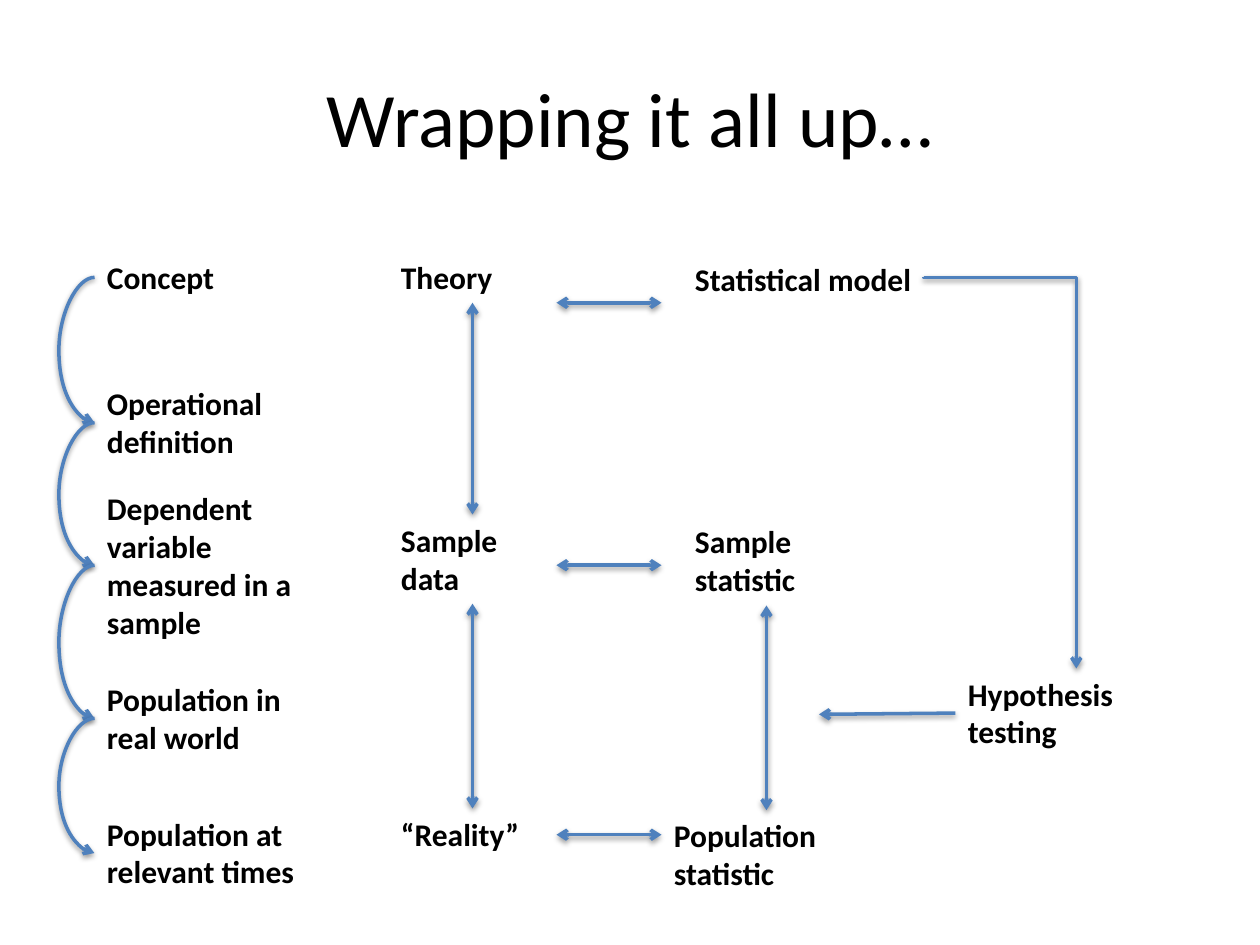
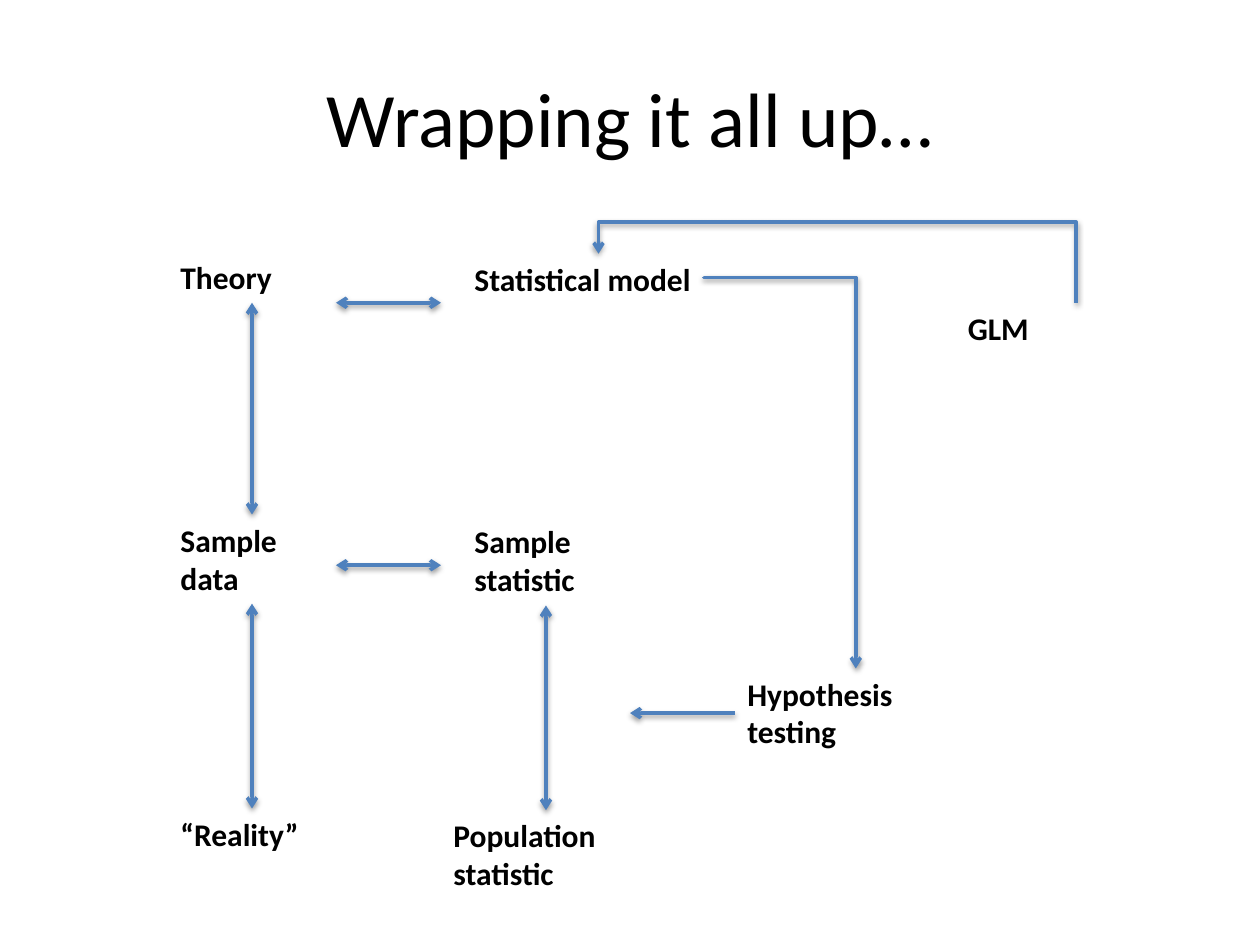
from dataclasses import dataclass
from itertools import pairwise

from lxml import etree
from pptx import Presentation
from pptx.dml.color import RGBColor
from pptx.enum import shapes, text
from pptx.oxml import ns
from pptx.util import Pt


@dataclass(frozen=True)
class Theme:
    font: str = "Calibri"
    ink: str = "000000"
    accent: str = "4F81BD"
    paper: str = "FFFFFF"
    title_size: float = 44
    label_size: float = 18
    stroke: float = 2
    shadow_alpha: int = 38
    shadow_blur: float = 3.1
    shadow_distance: float = 1.6


THEME = Theme()
ONE_LINE, TWO_LINES, FOUR_LINES = 29, 51, 94
STRAIGHT = shapes.MSO_CONNECTOR.STRAIGHT
CURVE = shapes.MSO_CONNECTOR.CURVE
ELBOW = shapes.MSO_CONNECTOR.ELBOW


def write(slide, words, box, size=THEME.label_size, bold=True,
          align=text.PP_ALIGN.LEFT, anchor=text.MSO_ANCHOR.TOP,
          fit=text.MSO_AUTO_SIZE.SHAPE_TO_FIT_TEXT):
    label = slide.shapes.add_textbox(*map(Pt, box))
    frame = label.text_frame
    frame.word_wrap = True
    frame.auto_size = fit
    frame.vertical_anchor = anchor
    frame.text = words
    for paragraph in frame.paragraphs:
        paragraph.alignment = align
        font = paragraph.runs[0].font
        font.name = THEME.font
        font.size = Pt(size)
        font.bold = bold
        font.color.rgb = RGBColor.from_string(THEME.ink)


def add_child(parent, tag, **attributes):
    child = etree.SubElement(parent, ns.qn(tag))
    for key, value in attributes.items():
        child.set(key, str(value))
    return child


def arrow(slide, start, end, kind=STRAIGHT, both=False, bend=None):
    link = slide.shapes.add_connector(kind, *map(Pt, (*start, *end)))
    link.line.color.rgb = RGBColor.from_string(THEME.accent)
    link.line.width = Pt(THEME.stroke)
    properties = link._element.spPr
    outline = properties.find(ns.qn("a:ln"))
    for tag in ("a:headEnd", "a:tailEnd") if both else ("a:tailEnd",):
        add_child(outline, tag, type="arrow")
    effects = add_child(properties, "a:effectLst")
    shadow = add_child(effects, "a:outerShdw",
                       blurRad=Pt(THEME.shadow_blur),
                       dist=Pt(THEME.shadow_distance),
                       dir=90 * 60000, rotWithShape=0)
    tint = add_child(shadow, "a:srgbClr", val=THEME.ink)
    add_child(tint, "a:alpha", val=THEME.shadow_alpha * 1000)
    if bend is not None:
        guides = properties.find(ns.qn("a:prstGeom")).find(ns.qn("a:avLst"))
        add_child(guides, "a:gd", name="adj1", fmla=f"val {round(bend * 100000)}")
    return link


def rail_arrow(slide, start, end, rail):
    (x1, y1), (x2, y2) = start, end
    middle_x, middle_y = (x1 + x2) / 2, (y1 + y2) / 2
    half_x, half_y = (x2 - x1) / 2, (y2 - y1) / 2
    link = arrow(slide,
                 (middle_x + half_y, middle_y - half_x),
                 (middle_x - half_y, middle_y + half_x),
                 kind=ELBOW, bend=(rail - y1) / (y2 - y1))
    link._element.spPr.find(ns.qn("a:xfrm")).set("rot", str(270 * 60000))


def title(slide, box):
    write(slide, "Wrapping it all up…", box, size=THEME.title_size, bold=False,
          align=text.PP_ALIGN.CENTER, anchor=text.MSO_ANCHOR.MIDDLE,
          fit=text.MSO_AUTO_SIZE.NONE)


def concept_chain(slide, left, top):
    steps = (
        ("Concept", 0, 96, ONE_LINE),
        ("Operational definition", 72, 120, TWO_LINES),
        ("Dependent variable measured in a sample", 132, 144, FOUR_LINES),
        ("Population in real world", 241, 144, TWO_LINES),
        ("Population at relevant times", 318, 162, TWO_LINES),
    )
    for words, drop, width, height in steps:
        write(slide, words, (left, top + drop, width, height))
    middles = [top + drop + height / 2 for _, drop, _, height in steps]
    bulge, sliver = 18, 0.1
    for upper, lower in pairwise(middles):
        arrow(slide, (left + sliver, upper), (left, lower),
              kind=CURVE, bend=bulge / sliver)


def research_model(slide, left, top, level_links, test_tip):
    def at(x, y):
        return left + x, top + y

    labels = (
        ("Theory", 0, 0, 96, ONE_LINE),
        ("Sample\ndata", 0, 150, 96, TWO_LINES),
        ("“Reality”", 0, 318, 96, ONE_LINE),
        ("Statistical model", 168, 1, 156, TWO_LINES),
        ("Sample\nstatistic", 168, 151, 96, TWO_LINES),
        ("Population statistic", 156, 319, 120, TWO_LINES),
        ("Hypothesis testing", 324, 238, 138, TWO_LINES),
    )
    for words, x, y, width, height in labels:
        write(slide, words, (*at(x, y), width, height))
    for x, upper, lower in ((48, 29, 150), (48, 201, 318), (216, 202, 319)):
        arrow(slide, at(x, upper), at(x, lower), both=True)
    for y in level_links:
        arrow(slide, at(96, y), at(156, y), both=True)
    rail_arrow(slide, at(306, 14.4), at(393, 238), rail=top + 14.6)
    arrow(slide, at(324, 263.5), at(*test_tip))


def linear_model(slide, left, top, target):
    write(slide, "GLM", (left, top, 138, ONE_LINE))
    rail_arrow(slide, (left + 69, top), target, rail=top - 46)


def new_slide(deck):
    slide = deck.slides.add_slide(deck.slide_layouts[6])
    fill = slide.background.fill
    fill.solid()
    fill.fore_color.rgb = RGBColor.from_string(THEME.paper)
    title(slide, (36, 21.6, 648, 90))
    return slide


def main():
    deck = Presentation()
    deck.slide_width, deck.slide_height = Pt(720), Pt(540)
    top = 144

    concepts = new_slide(deck)
    concept_chain(concepts, 54, top)
    research_model(concepts, 222, top, level_links=(29, 179, 333),
                   test_tip=(246, 264.2))

    general = new_slide(deck)
    research_model(general, 96, top, level_links=(29, 179),
                   test_tip=(264, 263.5))
    linear_model(general, 546, top + 29, target=(342, top + 1))

    deck.save("out.pptx")


if __name__ == "__main__":
    main()
